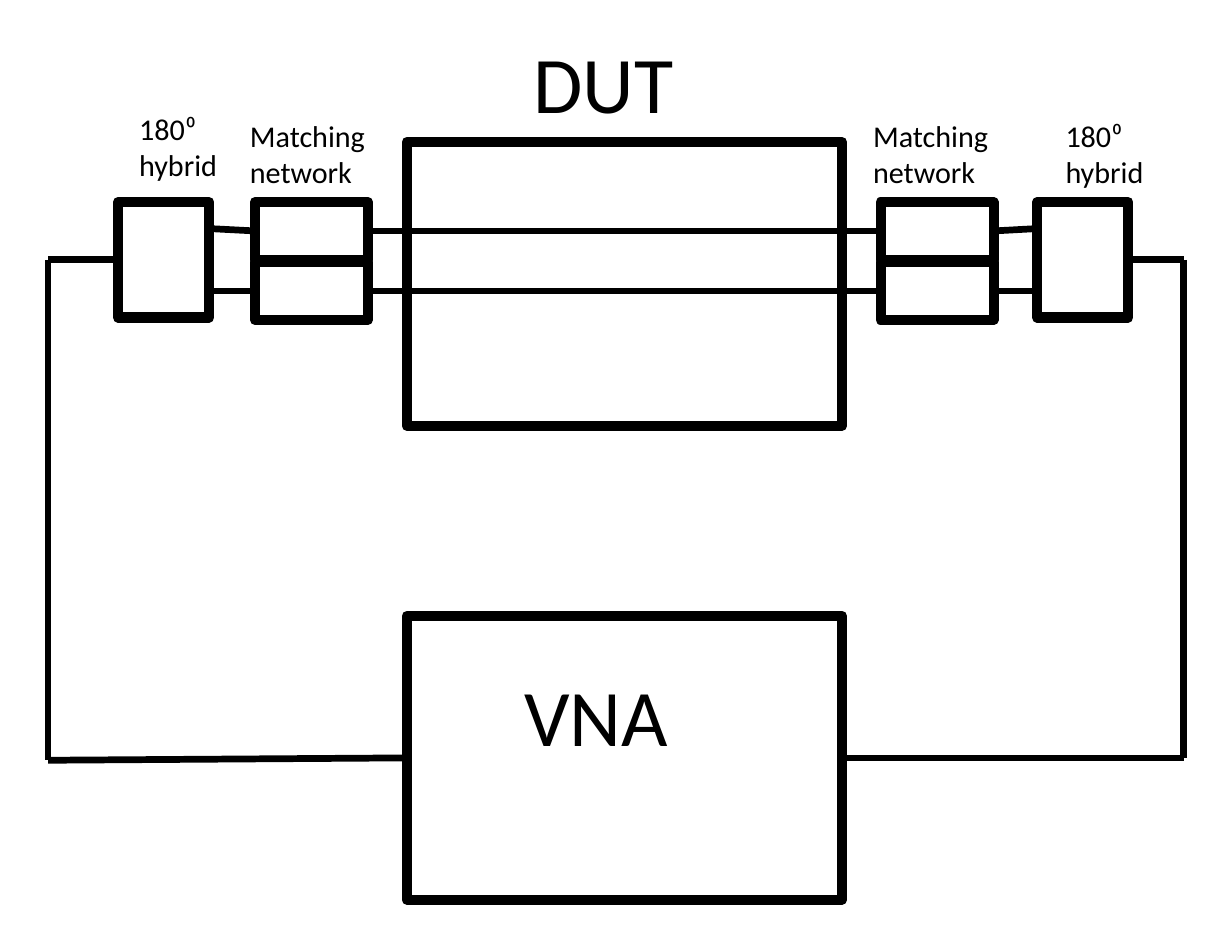
from dataclasses import dataclass

from lxml import etree
from pptx import Presentation
from pptx.dml.color import RGBColor
from pptx.enum import shapes, text
from pptx.oxml import ns
from pptx.util import Inches, Pt

TOP, LEFT, BOTTOM, RIGHT = range(4)


@dataclass(frozen=True)
class Theme:
    """Colours, type sizes and line widths of the diagram."""
    ink: RGBColor = RGBColor(0, 0, 0)
    font: str = "Calibri"
    title: int = 24
    label: int = 9
    outline: int = 3
    wire: int = 2


@dataclass(frozen=True)
class Box:
    """A rectangle in inches."""
    left: float
    top: float
    width: float
    height: float

    def inside(self, x, y, width, height):
        """Return a box offset from this one's corner."""
        return Box(self.left + x, self.top + y, width, height)

    def lengths(self):
        """Return the four measures as slide lengths."""
        return [Inches(v) for v in (self.left, self.top, self.width, self.height)]


@dataclass(frozen=True)
class Port:
    """Offsets of one port's parts from the corner of its box."""
    hybrid: float
    network: float
    hybrid_label: tuple
    network_label: tuple
    outer: int
    inner: int


THEME = Theme()
LEFT_PORT = Port(0.29, 0.86, (0.28, -0.43), (0.74, -0.4), LEFT, RIGHT)
RIGHT_PORT = Port(0.65, 0, (0.67, -0.4), (-0.13, -0.4), RIGHT, LEFT)


def add_label(page, words, box, size=THEME.label, font=THEME.font, color=THEME.ink):
    """Add a wrapped text box in the given format."""
    label = page.shapes.add_textbox(*box.lengths())
    frame = label.text_frame
    frame.word_wrap = True
    frame.auto_size = text.MSO_AUTO_SIZE.SHAPE_TO_FIT_TEXT
    span = frame.paragraphs[0].add_run()
    span.text = words
    span.font.size = Pt(size)
    span.font.name = font
    span.font.color.rgb = color


def add_block(page, box):
    """Add an outlined rectangle without fill."""
    block = page.shapes.add_shape(shapes.MSO_SHAPE.RECTANGLE, *box.lengths())
    block.shadow.inherit = False
    block.fill.background()
    block.line.color.rgb = THEME.ink
    block.line.width = Pt(THEME.outline)
    return block


def side_point(block, side):
    """Return the middle of a block's left or right side."""
    x = block.left + (block.width if side == RIGHT else 0)
    return x, block.top + block.height // 2


def add_wire(page, start, end):
    """Draw a wire between points or (block, side) pairs, joining blocks."""
    joined = [hasattr(stop[0], "shape_id") for stop in (start, end)]
    points = [side_point(*stop) if is_block else stop
              for stop, is_block in zip((start, end), joined)]
    wire = page.shapes.add_connector(
        shapes.MSO_CONNECTOR.STRAIGHT, *points[0], *points[1])
    wire.line.color.rgb = THEME.ink
    wire.line.width = Pt(THEME.wire)
    etree.SubElement(wire.element.spPr, ns.qn("a:effectLst"))
    if joined[0]:
        wire.begin_connect(*start)
    if joined[1]:
        wire.end_connect(*end)


def add_instrument(page, box, name, name_offset):
    """Draw a large instrument block with its name."""
    block = add_block(page, box)
    add_label(page, name, box.inside(*name_offset, 0.94, 0.5), size=THEME.title)
    return block


def add_port(page, box, port, cable_x, analyzer):
    """Draw a hybrid, its matching networks and the cable to the analyzer."""
    hybrid = add_block(page, box.inside(port.hybrid, 0, 0.38, 0.48))
    networks = [add_block(page, box.inside(port.network, row * 0.25, 0.47, 0.24))
                for row in range(2)]
    hybrid_x, _ = side_point(hybrid, port.inner)
    for network, y in zip(networks, (0.11, 0.37)):
        add_wire(page, (hybrid_x, Inches(box.top + y)), (network, port.outer))

    x = Inches(cable_x)
    upper = (x, side_point(hybrid, port.outer)[1])
    lower = (x, Inches(box.top + box.height))
    add_wire(page, (hybrid, port.outer), upper)
    add_wire(page, upper, lower)
    add_wire(page, lower, (analyzer, port.outer))

    add_label(page, "180⁰ hybrid", box.inside(*port.hybrid_label, 0.58, 0.4))
    add_label(page, "Matching network", box.inside(*port.network_label, 0.75, 0.4))
    return networks


def add_setup(page, box):
    """Draw the whole measurement setup."""
    add_instrument(page, box.inside(1.69, 0.59, 1.81, 1.18), "DUT", (0.43, -0.5))
    analyzer = add_instrument(
        page, box.inside(1.69, 2.56, 1.81, 1.18), "VNA", (0.39, 0.16))
    sources = add_port(
        page, box.inside(0.2, 0.84, 1.33, 2.32), LEFT_PORT, box.left + 0.2, analyzer)
    loads = add_port(
        page, box.inside(3.66, 0.84, 1.26, 2.31), RIGHT_PORT, box.left + 4.92, analyzer)
    for source, load in zip(sources, loads):
        add_wire(page, (source, RIGHT), (load, LEFT))


def main():
    """Build and save the deck."""
    deck = Presentation()
    deck.slide_width, deck.slide_height = Inches(5.12), Inches(3.94)
    page = deck.slides.add_slide(deck.slide_layouts[6])
    add_setup(page, Box(0, 0, 5.12, 3.94))
    deck.save("out.pptx")


if __name__ == "__main__":
    main()
